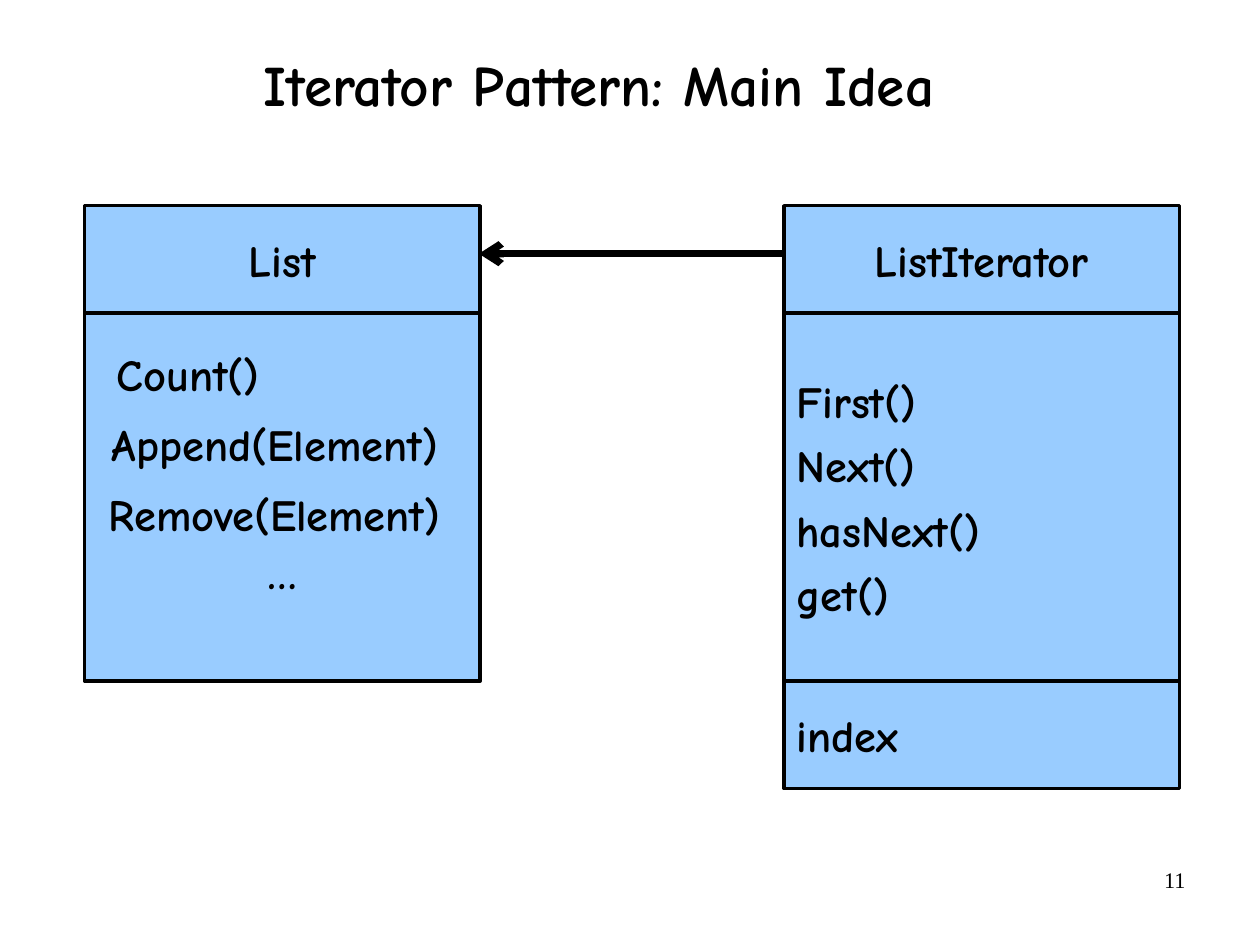
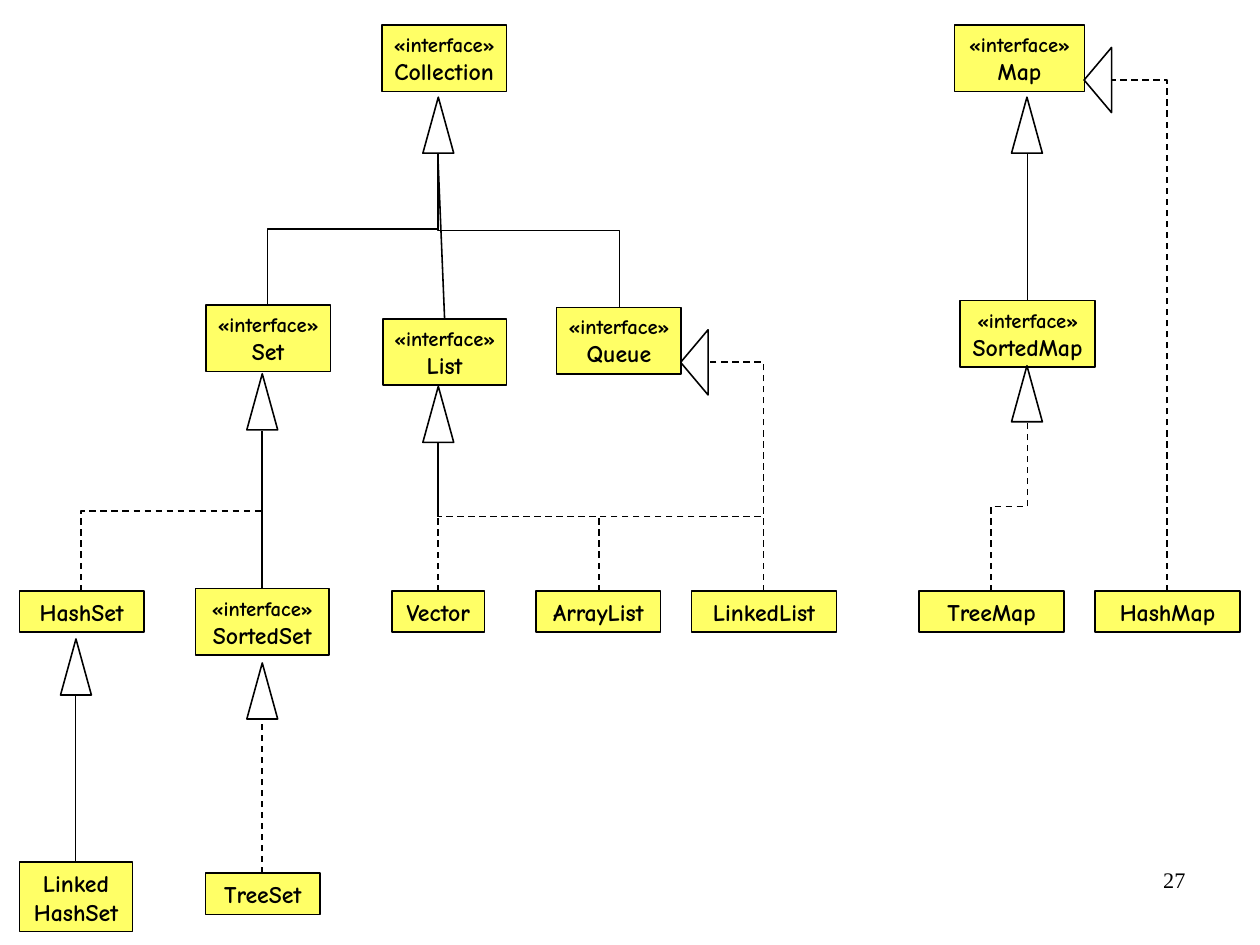
import copy

import lxml.etree
import pptx
import pptx.dml.color
import pptx.enum.dml
import pptx.enum.shapes
import pptx.enum.text
import pptx.oxml.ns
import pptx.util

Inches = pptx.util.Inches
Pt = pptx.util.Pt
Align = pptx.enum.text.PP_ALIGN
Anchor = pptx.enum.text.MSO_ANCHOR
Shape = pptx.enum.shapes.MSO_SHAPE
Connector = pptx.enum.shapes.MSO_CONNECTOR
qn = pptx.oxml.ns.qn


def color(value):
    return pptx.dml.color.RGBColor.from_string(value)


def write(frame, text, size=28, font="Comic Neue", bold=True, align=Align.CENTER,
          spacing=None, gap=0, indent=0):
    first = not frame.text
    para = frame.paragraphs[0] if first else frame.add_paragraph()
    para.text = text
    para.alignment = align
    para.line_spacing = spacing
    para.space_before = Pt(0 if first else gap)
    para.space_after = Pt(gap)
    if indent:
        para._p.get_or_add_pPr().set("marL", str(Inches(indent)))
    for span in para.runs:
        span.font.size = Pt(size)
        span.font.name = font
        span.font.bold = bold
        span.font.color.rgb = color(Diagram.INK)
    for line_break in para._p.findall(qn("a:br")):
        line_break.insert(0, copy.deepcopy(para.runs[0]._r.rPr))


class Diagram:
    INK = "000000"
    BLUE = "99CCFF"
    YELLOW = "FFFF66"
    WHITE = "FFFFFF"

    def __init__(self):
        self.deck = pptx.Presentation()
        self.deck.slide_width = pptx.util.Cm(28)
        self.deck.slide_height = pptx.util.Cm(21)
        self.page = None

    def new_page(self, number):
        self.page = self.deck.slides.add_slide(self.deck.slide_layouts[6])
        frame = self.text_box(7.9, 7.53, 2.57, 0.57, Anchor.TOP, (0.1, 0.05))
        write(frame, str(number), size=14, font="Times New Roman", bold=False, align=Align.RIGHT)

    def prepare(self, shape, anchor, insets):
        frame = shape.text_frame
        frame.word_wrap = True
        frame.vertical_anchor = anchor
        side, top, bottom = (*insets, insets[1])[:3]
        frame.margin_left = frame.margin_right = Inches(side)
        frame.margin_top = Inches(top)
        frame.margin_bottom = Inches(bottom)
        return frame

    def text_box(self, left, top, width, height, anchor, insets):
        box = self.page.shapes.add_textbox(*map(Inches, (left, top, width, height)))
        return self.prepare(box, anchor, insets)

    def title(self, text):
        frame = self.text_box(0.31, 0, 9.86, 1.1, Anchor.BOTTOM, (0.11, 0.06))
        write(frame, text, size=36, spacing=0.88)

    def shape(self, kind, left, top, width, height, fill, weight=1):
        shape = self.page.shapes.add_shape(kind, *map(Inches, (left, top, width, height)))
        shape.shadow.inherit = False
        shape.fill.solid()
        shape.fill.fore_color.rgb = color(fill)
        shape.line.color.rgb = color(self.INK)
        shape.line.width = Pt(weight)
        return shape

    def compartment(self, left, top, height, insets=(0.11, 0.06)):
        box = self.shape(Shape.RECTANGLE, left, top, 3.46, height, self.BLUE, 2.25)
        return self.prepare(box, Anchor.MIDDLE, insets)

    def type_box(self, left, top, width, height, *lines):
        box = self.shape(Shape.RECTANGLE, left, top, width, height, self.YELLOW)
        frame = self.prepare(box, Anchor.TOP, (0, 0.06))
        for line in lines:
            write(frame, line, size=13 if line.startswith("«") else 15)

    def interface(self, left, top, width, name):
        self.type_box(left, top, width, 0.58, "«interface»", name)

    def triangle_up(self, left, top):
        self.shape(Shape.ISOSCELES_TRIANGLE, left, top, 0.27, 0.49, self.WHITE)

    def triangle_left(self, left, top):
        triangle = self.shape(Shape.ISOSCELES_TRIANGLE, left, top, 0.57, 0.24, self.WHITE)
        triangle.rotation = 270

    def connector(self, kind, start, end, weight=1, dashed=False):
        line = self.page.shapes.add_connector(kind, *map(Inches, (*start, *end)))
        line.line.color.rgb = color(self.INK)
        line.line.width = Pt(weight)
        if dashed:
            line.line.dash_style = pptx.enum.dml.MSO_LINE.DASH
        lxml.etree.SubElement(line._element.spPr, qn("a:effectLst"))
        return line

    def straight(self, start, end, **style):
        return self.connector(Connector.STRAIGHT, start, end, **style)

    def arrow(self, start, end, weight):
        line = self.straight(start, end, weight=weight)
        head = lxml.etree.SubElement(line.line._get_or_add_ln(), qn("a:tailEnd"))
        head.set("type", "arrow")

    def elbow(self, start, end, preset="bentConnector3", dashed=False):
        (x1, y1), (x2, y2) = start, end
        length, breadth = abs(y2 - y1), abs(x2 - x1)
        left = (x1 + x2 - length) / 2
        top = (y1 + y2 - breadth) / 2
        line = self.connector(Connector.ELBOW, (left, top), (left + length, top + breadth),
                              dashed=dashed)
        properties = line._element.spPr
        properties.find(qn("a:prstGeom")).set("prst", preset)
        turn = properties.find(qn("a:xfrm"))
        turn.set("flipV", "1")
        if x2 > x1:
            turn.set("flipH", "1")
        turn.set("rot", str((90 if x2 > x1 else 270) * 60000))


def iterator_page(diagram):
    diagram.new_page(11)
    diagram.title("Iterator Pattern: Main Idea")
    list_left, iterator_left = 0.74, 6.86
    name_top, method_top, field_top = 1.8, 2.74, 5.96

    for left, name in ((list_left, "List"), (iterator_left, "ListIterator")):
        write(diagram.compartment(left, name_top, 0.94), name)

    frame = diagram.compartment(list_left, method_top, 3.22, (0.11, 0.06, 0.53))
    for method, indent in (("Count()", 0.17), ("Append(Element)", 0.13), ("Remove(Element)", 0.1)):
        write(frame, method, align=Align.LEFT, spacing=1.1, gap=3.5, indent=indent)
    write(frame, "…")

    frame = diagram.compartment(iterator_left, method_top, 3.22)
    for method in ("First()", "Next()", "hasNext()", "get()"):
        write(frame, method, align=Align.LEFT, gap=3.5)
    write(diagram.compartment(iterator_left, field_top, 0.94), "index", align=Align.LEFT)
    diagram.arrow((iterator_left, 2.22), (4.19, 2.22), 4.5)


def collections_page(diagram):
    diagram.new_page(27)
    for left, top, width, name in (
            (3.34, 0.22, 1.09, "Collection"), (1.8, 2.67, 1.09, "Set"),
            (3.35, 2.79, 1.08, "List"), (4.87, 2.69, 1.09, "Queue"),
            (1.71, 5.15, 1.17, "SortedSet"), (8.35, 0.22, 1.14, "Map"),
            (8.4, 2.63, 1.18, "SortedMap")):
        diagram.interface(left, top, width, name)

    class_top = 5.17
    for left, width, name in (
            (0.17, 1.09, "HashSet"), (3.43, 0.81, "Vector"), (4.69, 1.09, "ArrayList"),
            (6.05, 1.27, "LinkedList"), (8.04, 1.27, "TreeMap"), (9.58, 1.27, "HashMap")):
        diagram.type_box(left, class_top, width, 0.36, name)
    diagram.type_box(1.8, 7.64, 1, 0.36, "TreeSet")
    diagram.type_box(0.17, 7.54, 0.99, 0.61, "Linked\vHashSet")

    for left, top in ((3.7, 0.85), (8.85, 0.85), (2.16, 3.27), (3.7, 3.38),
                      (0.53, 5.59), (2.16, 5.8), (8.85, 3.2)):
        diagram.triangle_up(left, top)
    for left, top in ((5.79, 3.05), (9.32, 0.58)):
        diagram.triangle_left(left, top)

    collection, set_base, list_base = (3.83, 1.34), (2.29, 3.77), (3.83, 3.87)
    for start, end, dashed in (
            ((3.89, 2.79), collection, False), ((8.99, 2.63), (8.99, 1.34), False),
            ((2.29, 5.15), set_base, False), ((0.66, 7.54), (0.66, 6.08), False),
            ((3.83, class_top), list_base, True), ((2.29, 7.64), (2.29, 6.3), True)):
        diagram.straight(start, end, dashed=dashed)
    for start, end, dashed in (
            ((5.42, 2.69), collection, False), ((2.34, 2.67), collection, False),
            ((5.24, class_top), list_base, True), ((6.68, class_top), list_base, True),
            ((0.71, class_top), set_base, True), ((8.67, class_top), (8.99, 3.69), True)):
        diagram.elbow(start, end, dashed=dashed)
    for start, end in (((6.68, class_top), (6.19, 3.17)), ((10.21, class_top), (9.72, 0.7))):
        diagram.elbow(start, end, preset="bentConnector2", dashed=True)


def main():
    diagram = Diagram()
    iterator_page(diagram)
    collections_page(diagram)
    diagram.deck.save("out.pptx")


if __name__ == "__main__":
    main()
